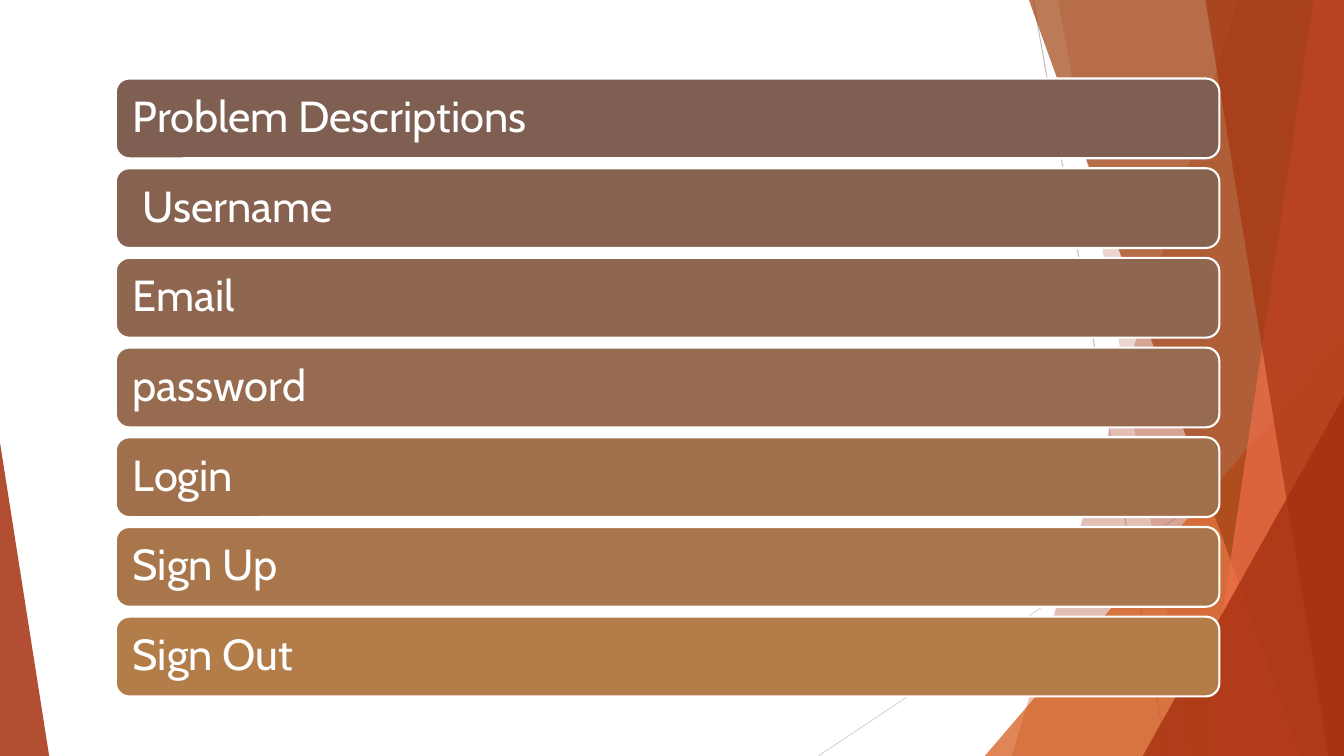
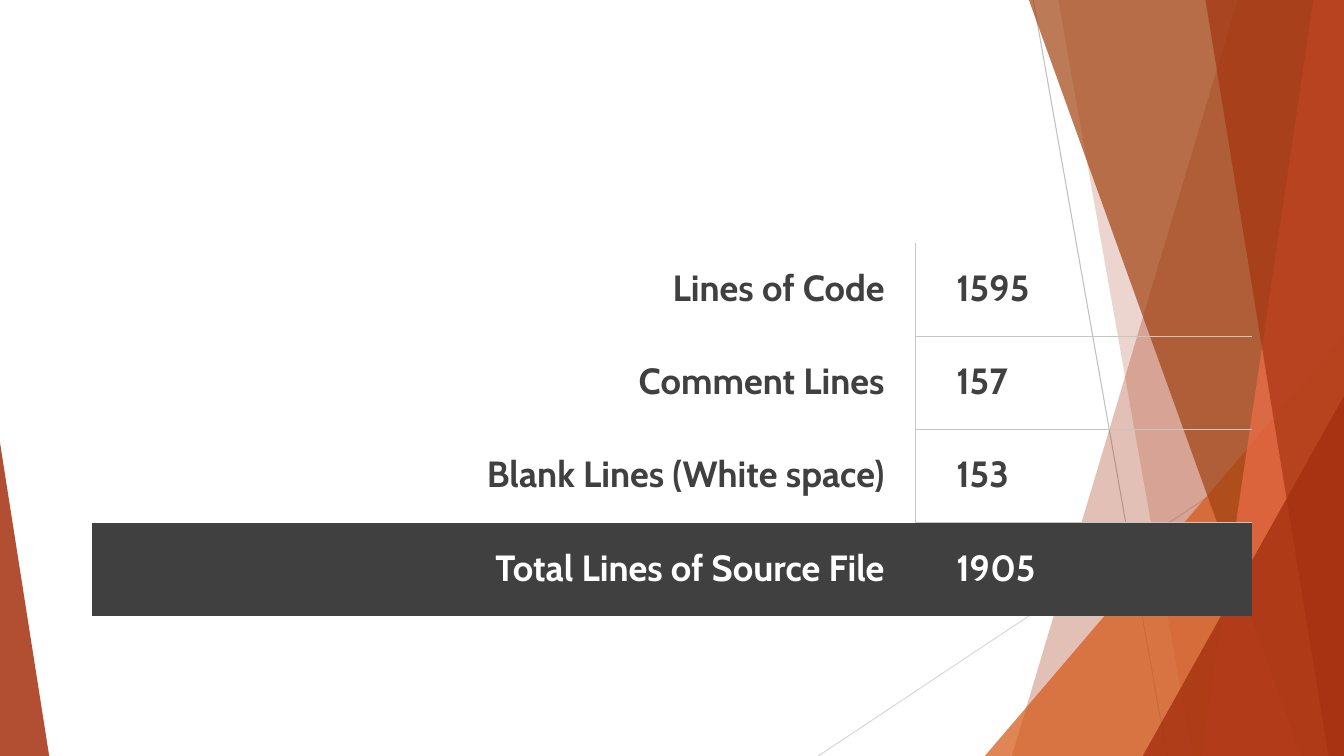
from dataclasses import dataclass
from typing import Any

import lxml.etree
import pptx
import pptx.dml.color
import pptx.enum.shapes
import pptx.enum.text
import pptx.oxml.ns
import pptx.util

Cm = pptx.util.Cm
Pt = pptx.util.Pt
SHAPE = pptx.enum.shapes.MSO_SHAPE
ALIGN = pptx.enum.text.PP_ALIGN
ANCHOR = pptx.enum.text.MSO_ANCHOR
qn = pptx.oxml.ns.qn

WIDTH, HEIGHT = 33.87, 19.05
FONT = "Cabin"
NO_TABLE_STYLE = "{2D5ABB26-0587-4C30-8999-92F81FD0307C}"
COLORS = {
    "white": "FFFFFF", "dark": "404040", "rule": "C7C6C1",
    "line_mid": "BFBFBF", "line_light": "D9D9D9",
    "red": "A5300F", "orange": "D55816", "brown": "A04210", "coral": "EE6E4A",
}


@dataclass
class Ray:
    x1: float
    y1: float
    x2: float
    y2: float
    color: str


@dataclass
class Band:
    """A full-height facet from a slanted left edge to the slide's right edge."""
    x_top: float
    x_bottom: float
    color: str
    alpha: int


@dataclass
class Wedge:
    """A right triangle standing on the slide's bottom edge."""
    x: float
    y: float
    width: float
    apex: float
    color: str
    alpha: int


@dataclass
class Bar:
    text: str
    color: str


@dataclass
class Count:
    label: str
    value: str


RAYS = [
    Ray(26.04, 0, 29.41, HEIGHT, "line_mid"),
    Ray(WIDTH, 10.24, 20.62, HEIGHT, "line_light"),
]
FACETS = [
    Band(31.19, 25.5, "red", 30),
    Band(26.67, 30.05, "red", 20),
    Wedge(24.82, 8.46, 9.05, 1, "orange", 72),
    Band(25.93, 32.79, "brown", 70),
    Band(33.1, 30.28, "coral", 70),
    Band(30.38, 33.48, "red", 65),
    Wedge(28.8, 9.98, 5.07, 1, "red", 80),
    Wedge(0, 11.15, 1.24, 0, "red", 85),
]
BARS = [
    Bar("Problem Descriptions", "7F5F52"),
    Bar(" Username", "876251"),
    Bar("Email", "8F6750"),
    Bar("password", "976B4F"),
    Bar("Login", "A0704D"),
    Bar("Sign Up", "A9764B"),
    Bar("Sign Out", "B27D49"),
]
COUNTS = [
    Count("Lines of Code", "1595"),
    Count("Comment Lines", "157"),
    Count("Blank Lines (White space)", "153"),
    Count("Total Lines of Source File", "1905"),
]

BAR_FRAME = {
    "margin_left": Cm(0.33), "margin_right": Cm(0.33),
    "margin_top": Cm(0.33), "margin_bottom": Cm(0.33),
    "vertical_anchor": ANCHOR.MIDDLE, "word_wrap": True,
}
CELL_FRAME = {
    "margin_left": Cm(1.04), "margin_right": Cm(0.76),
    "margin_top": Cm(0.51), "margin_bottom": Cm(0.51),
}
BAR_FONT = {"name": FONT, "size": Pt(31)}
CELL_FONT = {"name": FONT, "size": Pt(26), "bold": True}


def rgb(value: str) -> pptx.dml.color.RGBColor:
    return pptx.dml.color.RGBColor.from_string(COLORS.get(value, value))


def apply(target: Any, values: dict[str, Any]) -> None:
    for name, value in values.items():
        setattr(target, name, value)


def write(p: Any, text: str, font: dict[str, Any], color: str,
          align: Any, spacing: float) -> None:
    apply(p, {"alignment": align, "line_spacing": spacing})
    r = p.add_run()
    r.text = text
    apply(r.font, font)
    r.font.color.rgb = rgb(color)


def paint(sp: Any, color: str, alpha: int = 100) -> None:
    """Fill a shape, without shadow or outline."""
    sp.shadow.inherit = False
    sp.fill.solid()
    sp.fill.fore_color.rgb = rgb(color)
    sp.line.fill.background()
    if alpha < 100:
        clr = sp.element.spPr.find(qn("a:solidFill"))[0]
        lxml.etree.SubElement(clr, qn("a:alpha")).set("val", str(alpha * 1000))


def add_ray(s: Any, ray: Ray) -> None:
    cx = s.shapes.add_connector(
        pptx.enum.shapes.MSO_CONNECTOR.STRAIGHT,
        Cm(ray.x1), Cm(ray.y1), Cm(ray.x2), Cm(ray.y2))
    cx.line.color.rgb = rgb(ray.color)
    cx.line.width = Pt(0.75)
    lxml.etree.SubElement(cx.element.spPr, qn("a:effectLst"))


def add_band(s: Any, band: Band) -> Any:
    fb = s.shapes.build_freeform(Cm(band.x_top), 0)
    fb.add_line_segments([(Cm(WIDTH), 0), (Cm(WIDTH), Cm(HEIGHT)),
                          (Cm(band.x_bottom), Cm(HEIGHT))])
    return fb.convert_to_shape()


def add_wedge(s: Any, wedge: Wedge) -> Any:
    sp = s.shapes.add_shape(SHAPE.ISOSCELES_TRIANGLE, Cm(wedge.x), Cm(wedge.y),
                            Cm(wedge.width), Cm(HEIGHT - wedge.y))
    sp.adjustments[0] = wedge.apex
    return sp


def add_slide(prs: Any) -> Any:
    """Add a blank slide with the shared faceted background."""
    s = prs.slides.add_slide(prs.slide_layouts[6])
    for ray in RAYS:
        add_ray(s, ray)
    for facet in FACETS:
        add = add_band if isinstance(facet, Band) else add_wedge
        paint(add(s, facet), facet.color, facet.alpha)
    return s


def add_bars(s: Any, bars: list[Bar]) -> None:
    left, top, width, height, pitch = 2.92, 1.98, 27.81, 2.01, 2.26
    for i, bar in enumerate(bars):
        sp = s.shapes.add_shape(SHAPE.ROUNDED_RECTANGLE, Cm(left),
                                Cm(top + i * pitch), Cm(width), Cm(height))
        paint(sp, bar.color)
        sp.line.color.rgb = rgb("white")
        sp.line.width = Pt(1.5)
        tf = sp.text_frame
        apply(tf, BAR_FRAME)
        write(tf.paragraphs[0], bar.text, BAR_FONT, "white", ALIGN.LEFT, 0.9)


def set_borders(cell: Any, sides: str) -> None:
    """Draw thin rules on the sides named by letters from LRTB, in that order."""
    tc_pr = cell._tc.get_or_add_tcPr()
    for i, side in enumerate(sides):
        ln = lxml.etree.Element(qn(f"a:ln{side}"), w=str(Pt(0.75)))
        fill = lxml.etree.SubElement(ln, qn("a:solidFill"))
        lxml.etree.SubElement(fill, qn("a:srgbClr")).set("val", COLORS["rule"])
        tc_pr.insert(i, ln)


def add_counts(s: Any, counts: list[Count]) -> None:
    widths, row_height = (20.73, 8.48), 2.35
    table = s.shapes.add_table(
        len(counts), len(widths), Cm(2.33), Cm(6.12),
        Cm(sum(widths)), Cm(row_height * len(counts))).table
    apply(table, {"first_row": False, "horz_banding": False})
    table._tbl.tblPr.find(qn("a:tableStyleId")).text = NO_TABLE_STYLE
    for column, width in zip(table.columns, widths):
        column.width = Cm(width)

    total = len(counts) - 1
    for i, count in enumerate(counts):
        table.rows[i].height = Cm(row_height)
        value_sides = "L" + "T" * (i > 0) + "B" * (i < total - 1)
        columns = [(count.label, ALIGN.RIGHT, "R"),
                   (count.value, ALIGN.LEFT, value_sides)]
        for j, (text, align, sides) in enumerate(columns):
            cell = table.cell(i, j)
            apply(cell, CELL_FRAME)
            color = "white" if i == total else "dark"
            write(cell.text_frame.paragraphs[0], text, CELL_FONT, color, align, 1.07)
            if i == total:
                cell.fill.solid()
                cell.fill.fore_color.rgb = rgb("dark")
            else:
                cell.fill.background()
                set_borders(cell, sides)


def main() -> None:
    prs = pptx.Presentation()
    apply(prs, {"slide_width": Cm(WIDTH), "slide_height": Cm(HEIGHT)})
    add_bars(add_slide(prs), BARS)
    add_counts(add_slide(prs), COUNTS)
    prs.save("out.pptx")


if __name__ == "__main__":
    main()
